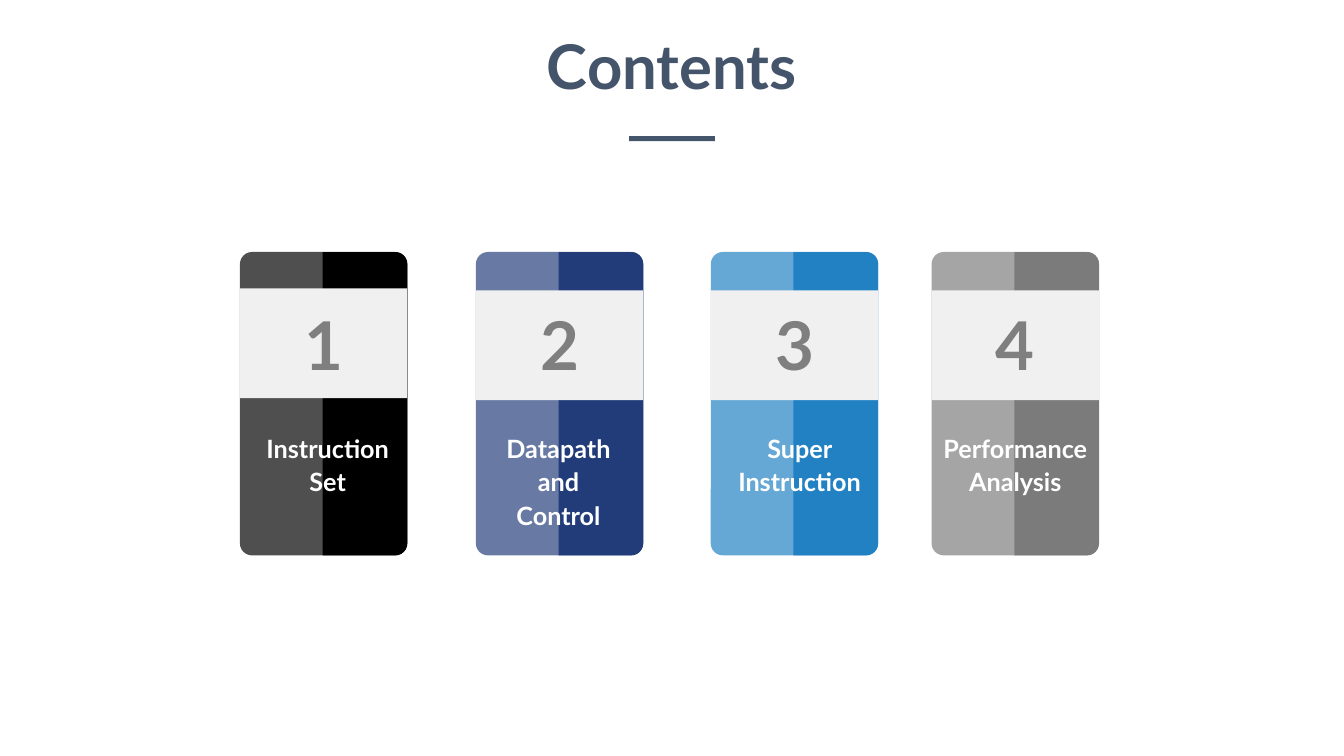
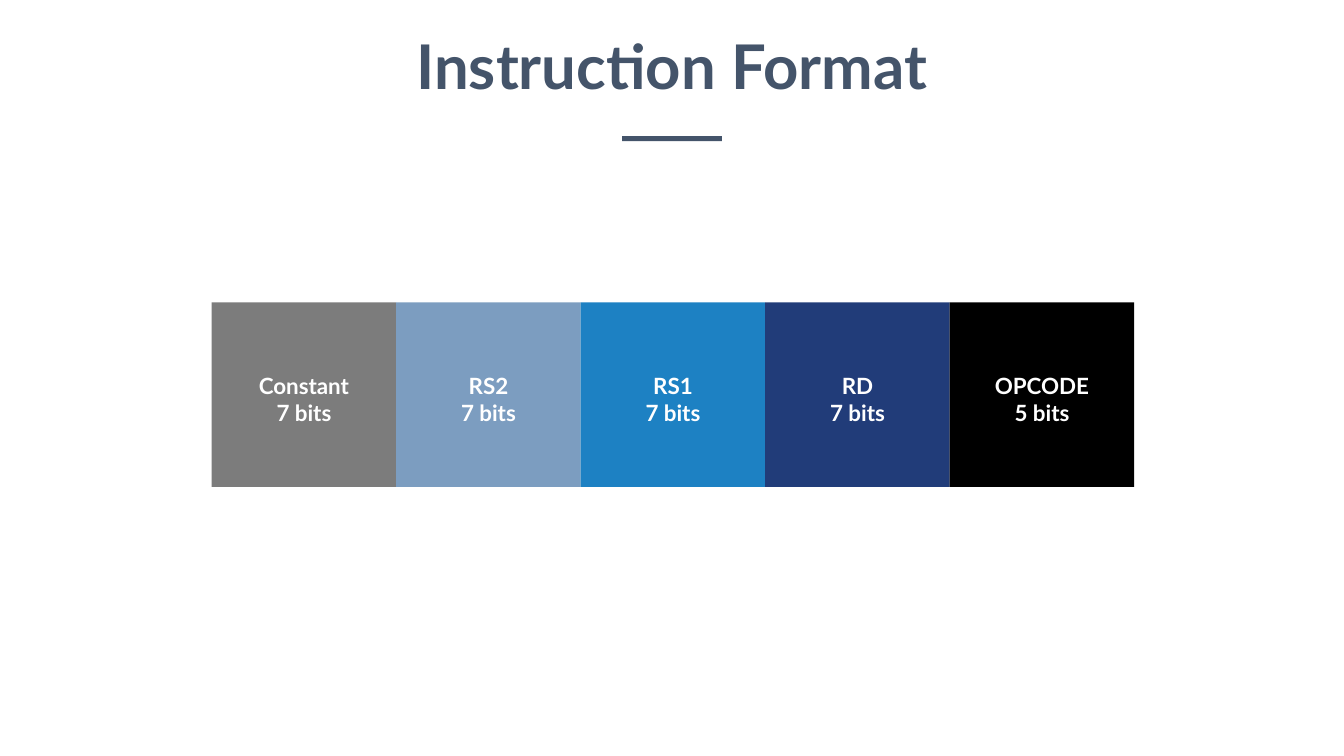
from dataclasses import dataclass

import lxml.etree
import pptx
import pptx.dml.color
import pptx.enum.shapes
import pptx.enum.text
import pptx.oxml.ns
import pptx.presentation
import pptx.shapes.autoshape
import pptx.slide
import pptx.text.text
import pptx.util

Inches = pptx.util.Inches
RGBColor = pptx.dml.color.RGBColor
SHAPE = pptx.enum.shapes.MSO_SHAPE
ANCHOR = pptx.enum.text.MSO_ANCHOR

# Shared style
FONT = "Lato"
SLATE = RGBColor(0x44, 0x54, 0x6A)
WHITE = RGBColor(0xFF, 0xFF, 0xFF)
BLACK = RGBColor(0x00, 0x00, 0x00)
NAVY = RGBColor(0x21, 0x3C, 0x79)
BLUE = RGBColor(0x22, 0x81, 0xC3)
BRIGHT_BLUE = RGBColor(0x1D, 0x81, 0xC3)
STEEL_BLUE = RGBColor(0x7C, 0x9D, 0xC0)
DARK_GRAY = RGBColor(0x7B, 0x7B, 0x7B)
FIELD_GRAY = RGBColor(0x7C, 0x7C, 0x7C)
LIGHT_GRAY = RGBColor(0xA5, 0xA5, 0xA5)
NUMBER_GRAY = RGBColor(0x7F, 0x7F, 0x7F)
BAND_GRAY = RGBColor(0xF1, 0xF0, 0xF0)

SLIDE_WIDTH = 13.33
SLIDE_HEIGHT = 7.5
TITLE_WIDTH = 5.7
TITLE_ONLY_LAYOUT = 5

# Contents cards
CARD_TOP = 2.5
CARD_WIDTH = 1.66
CARD_HEIGHT = 3.01
HALF_WIDTH = 0.84
CORNER_RADIUS = 0.12
BAND_HEIGHT = 1.09
NUMBER_WIDTH = 0.68

# Instruction fields
FIELD_LEFT = 2.1
FIELD_TOP = 3.0
FIELD_SIZE = 1.83


@dataclass(frozen=True)
class Box:
    left: float
    top: float
    width: float
    height: float

    def lengths(self) -> tuple[pptx.util.Length, ...]:
        return tuple(Inches(n) for n in (self.left, self.top, self.width, self.height))


@dataclass(frozen=True)
class Card:
    number: str
    label: str
    left: float
    label_left: float
    label_width: float
    light: RGBColor
    dark: RGBColor
    opacity: int = 100
    band_top: float = 2.88


@dataclass(frozen=True)
class Field:
    name: str
    bits: str
    color: RGBColor


CARDS = (
    Card("1", "Instruction Set", 2.38, 2.46, 1.58, BLACK, BLACK, 69, 2.86),
    Card("2", "Datapath and Control", 4.72, 4.81, 1.46, NAVY, NAVY, 68),
    Card("3", "Super Instruction", 7.05, 7.14, 1.58, BLUE, BLUE, 69),
    Card("4", "Performance Analysis", 9.24, 9.16, 1.82, LIGHT_GRAY, DARK_GRAY),
)

FIELDS = (
    Field("Constant", "7 bits", FIELD_GRAY),
    Field("RS2", "7 bits", STEEL_BLUE),
    Field("RS1", "7 bits", BRIGHT_BLUE),
    Field("RD", "7 bits", NAVY),
    Field("OPCODE", "5 bits", BLACK),
)


def write(
    frame: pptx.text.text.TextFrame,
    lines: tuple[str, ...],
    size: float,
    color: RGBColor,
    margins: tuple[float, float, float, float],
    anchor: ANCHOR = ANCHOR.TOP,
    line_spacing: float = 1.0,
) -> None:
    """Write centred bold lines; margins run left, top, right, bottom."""
    frame.word_wrap = True
    frame.auto_size = pptx.enum.text.MSO_AUTO_SIZE.NONE
    frame.vertical_anchor = anchor
    (frame.margin_left, frame.margin_top,
     frame.margin_right, frame.margin_bottom) = (Inches(m) for m in margins)
    for index, line in enumerate(lines):
        paragraph = frame.add_paragraph() if index else frame.paragraphs[0]
        paragraph.alignment = pptx.enum.text.PP_ALIGN.CENTER
        paragraph.line_spacing = line_spacing
        run = paragraph.add_run()
        run.text = line
        run.font.name = FONT
        run.font.size = pptx.util.Pt(size)
        run.font.bold = True
        run.font.color.rgb = color


def add_block(
    slide: pptx.slide.Slide,
    kind: SHAPE,
    box: Box,
    color: RGBColor,
    opacity: int = 100,
) -> pptx.shapes.autoshape.Shape:
    shape = slide.shapes.add_shape(kind, *box.lengths())
    shape.shadow.inherit = False
    shape.line.fill.background()
    shape.fill.solid()
    shape.fill.fore_color.rgb = color
    if opacity < 100:
        qualified = pptx.oxml.ns.qn
        fill_color = shape.element.spPr.find(f".//{qualified('a:srgbClr')}")
        alpha = lxml.etree.SubElement(fill_color, qualified("a:alpha"))
        alpha.set("val", str(opacity * 1000))
    return shape


def add_titled_slide(
    presentation: pptx.presentation.Presentation, title: str, rule_width: float
) -> pptx.slide.Slide:
    slide = presentation.slides.add_slide(presentation.slide_layouts[TITLE_ONLY_LAYOUT])
    placeholder = slide.shapes.title
    box = Box((SLIDE_WIDTH - TITLE_WIDTH) / 2, 0.26, TITLE_WIDTH, 0.79)
    (placeholder.left, placeholder.top,
     placeholder.width, placeholder.height) = box.lengths()
    write(placeholder.text_frame, (title,), 44, SLATE, (0.05, 0.02, 0.05, 0.02))
    # Short rule under the title
    rule = Box((SLIDE_WIDTH - rule_width) / 2, 1.35, rule_width, 0.05)
    add_block(slide, SHAPE.RECTANGLE, rule, SLATE)
    return slide


def add_card(slide: pptx.slide.Slide, card: Card) -> None:
    # Light body with rounded corners
    body = add_block(slide, SHAPE.ROUNDED_RECTANGLE,
                     Box(card.left, CARD_TOP, CARD_WIDTH, CARD_HEIGHT),
                     card.light, card.opacity)
    body.adjustments[0] = CORNER_RADIUS / CARD_WIDTH

    # Dark right half: a quarter turn puts its rounded corners on the right
    center_x = card.left + CARD_WIDTH - HALF_WIDTH / 2
    center_y = CARD_TOP + CARD_HEIGHT / 2
    half = add_block(slide, SHAPE.ROUND_2_SAME_RECTANGLE,
                     Box(center_x - CARD_HEIGHT / 2, center_y - HALF_WIDTH / 2,
                         CARD_HEIGHT, HALF_WIDTH), card.dark)
    half.adjustments[0] = CORNER_RADIUS / HALF_WIDTH
    half.rotation = 90

    # Number on its band
    add_block(slide, SHAPE.RECTANGLE,
              Box(card.left, card.band_top, CARD_WIDTH, BAND_HEIGHT), BAND_GRAY)
    number_left = card.left + (CARD_WIDTH - NUMBER_WIDTH) / 2
    number = slide.shapes.add_textbox(
        *Box(number_left, 3.01, NUMBER_WIDTH, 0.81).lengths())
    write(number.text_frame, (card.number,), 48, NUMBER_GRAY, (0, 0, 0, 0))

    # Label
    label = slide.shapes.add_textbox(
        *Box(card.label_left, 4.21, card.label_width, 0.77).lengths())
    write(label.text_frame, (card.label,), 18, WHITE,
          (0.12, 0.06, 0.12, 0.06), line_spacing=1.1)


def add_field(slide: pptx.slide.Slide, index: int, field: Field) -> None:
    box = Box(FIELD_LEFT + index * FIELD_SIZE, FIELD_TOP, FIELD_SIZE, FIELD_SIZE)
    square = add_block(slide, SHAPE.RECTANGLE, box, field.color)
    # The larger top margin sets the text slightly below the middle
    write(square.text_frame, (field.name, field.bits), 16, WHITE,
          (0.1, 0.14, 0.1, 0.05), ANCHOR.MIDDLE)


def main() -> None:
    presentation = pptx.Presentation()
    presentation.slide_width = Inches(SLIDE_WIDTH)
    presentation.slide_height = Inches(SLIDE_HEIGHT)

    contents = add_titled_slide(presentation, "Contents", 0.85)
    for card in CARDS:
        add_card(contents, card)

    instruction_format = add_titled_slide(presentation, "Instruction Format", 0.99)
    for index, field in enumerate(FIELDS):
        add_field(instruction_format, index, field)

    presentation.save("out.pptx")


if __name__ == "__main__":
    main()
